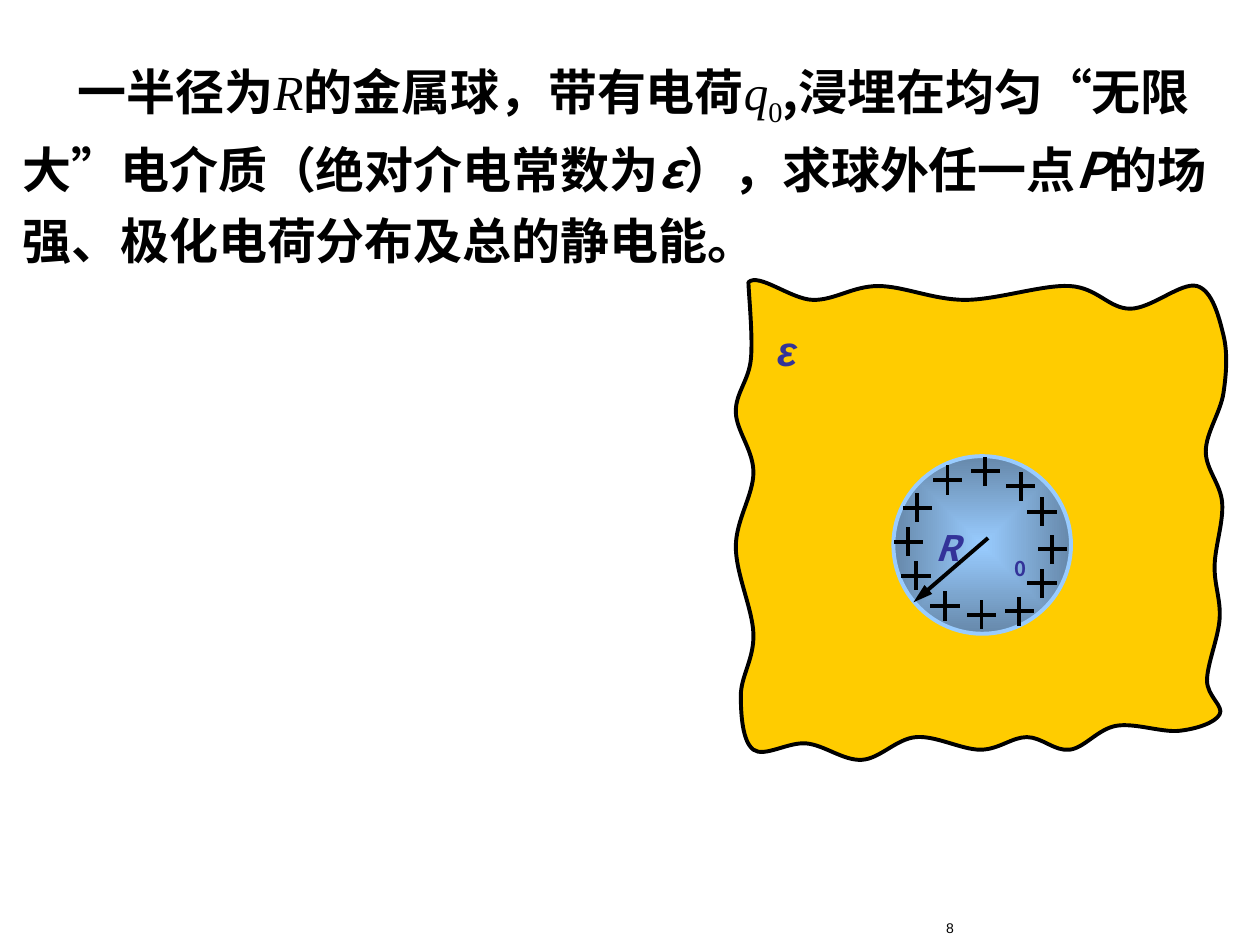
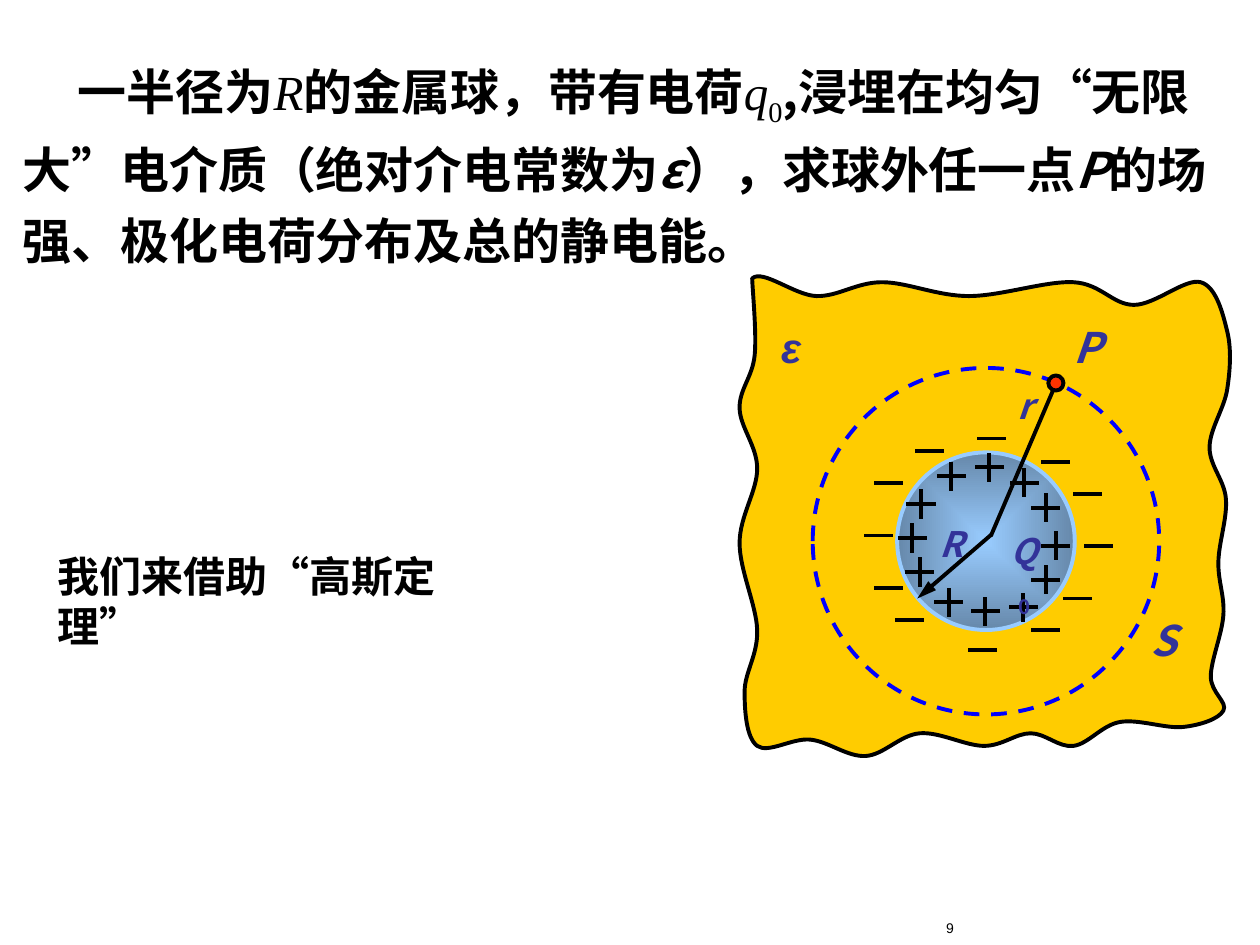
"""Two slides on a charged metal sphere in a dielectric, before and after adding the Gauss surface."""
import lxml.etree
import pptx
import pptx.dml.color
import pptx.enum.dml
import pptx.enum.shapes
import pptx.enum.text
import pptx.oxml.ns
import pptx.util

Inches = pptx.util.Inches
Pt = pptx.util.Pt
qn = pptx.oxml.ns.qn
OVAL = pptx.enum.shapes.MSO_SHAPE.OVAL
STRAIGHT = pptx.enum.shapes.MSO_CONNECTOR.STRAIGHT
ALIGN = pptx.enum.text.PP_ALIGN
FIT = pptx.enum.text.MSO_AUTO_SIZE

SANS, SERIF, ARIAL = "Noto Sans CJK SC", "Times New Roman", "Arial"
BLACK, INDIGO, AMBER = "000000", "333399", "FFCC00"
SKY, STEEL, BLUE, RED = "99CCFF", "6688AA", "0000FF", "FF3300"
LINE_WIDTH = Pt(2.25)
ARM = 0.1


def rgb(value):
    return pptx.dml.color.RGBColor.from_string(value)


def write(slide, box, runs, size, color=INDIGO, align=ALIGN.CENTER, wrap=True,
          fit=FIT.SHAPE_TO_FIT_TEXT):
    frame = slide.shapes.add_textbox(*[Inches(v) for v in box]).text_frame
    frame.word_wrap = wrap
    frame.auto_size = fit
    paragraph = frame.paragraphs[0]
    paragraph.alignment = align
    for text, face, bold, italic, baseline in runs:
        run = paragraph.add_run()
        run.text = text
        font = run.font
        font.size, font.bold, font.italic = Pt(size), bold, italic
        font.color.rgb = rgb(color)
        font.name = face
        properties = run._r.get_or_add_rPr()
        lxml.etree.SubElement(properties, qn("a:ea"), typeface=face)
        if baseline:
            properties.set("baseline", str(baseline * 1000))
    return paragraph


problem = [
    ("一半径为", SANS, True, False, 0),
    ("R", SERIF, False, True, 0),
    ("的金属球，带有电荷", SANS, True, False, 0),
    ("q", SERIF, False, True, 0),
    ("0", SERIF, False, False, -25),
    (",浸埋在均匀“无限大”电介质（绝对介电常数为", SANS, True, False, 0),
    ("ε", SANS, True, True, 0),
    ("），求球外任一点", SANS, True, False, 0),
    ("P", SANS, True, True, 0),
    ("的场强、极化电荷分布及总的静电能。", SANS, True, False, 0),
]
charge_zero = ("0", SANS, True, False, -25)
charge_q = ("Q", SANS, True, True, 0)

rim = [
    (5.94, 2.24), (6.45, 2.38), (6.97, 2.27), (7.66, 2.38), (8.49, 2.27),
    (8.97, 2.45), (9.5, 2.27), (9.71, 2.66), (9.71, 3.12), (9.57, 3.58),
    (9.7, 3.99), (9.64, 4.49), (9.68, 4.91), (9.58, 5.4), (9.68, 5.67),
    (9.36, 5.8), (8.86, 5.76), (8.49, 5.95), (8.15, 5.85), (7.78, 5.95),
    (7.27, 5.85), (6.84, 6.03), (6.4, 5.9), (5.98, 5.95), (5.88, 5.52),
    (5.98, 5.03), (5.84, 4.34), (5.98, 3.75), (5.84, 3.27), (5.96, 2.85),
]

positive_charges = [
    (7.82, 3.74), (8.1, 3.86), (8.27, 4.06), (8.35, 4.36), (8.27, 4.63), (8.09, 4.85),
    (7.79, 4.88), (7.5, 4.81), (7.27, 4.57), (7.21, 4.3), (7.28, 4.03), (7.52, 3.81),
]
negative_charges = [
    (7.87, 3.48), (8.38, 3.67), (8.63, 3.92), (8.72, 4.33), (8.55, 4.75), (8.3, 5),
    (7.8, 5.16), (7.22, 4.92), (7.05, 4.67), (6.97, 4.25), (7.05, 3.83), (7.38, 3.58),
]

deck = pptx.Presentation()
deck.slide_width, deck.slide_height = Inches(10), Inches(7.5)

for number, shift, gauss in [(8, 0, False), (9, 0.03, True)]:
    slide = deck.slides.add_slide(deck.slide_layouts[6])
    write(slide, (6.75, 7.25, 0.92, 0.25), [(str(number), ARIAL, False, False, 0)],
          8, BLACK, ALIGN.RIGHT, fit=FIT.NONE)
    statement = write(slide, (0.08, 0.33, 9.67, 1.86), problem, 28, BLACK, ALIGN.LEFT)
    statement.line_spacing = 1.2
    statement._p.get_or_add_pPr().set("indent", str(Inches(0.44)))

    points = [(Inches(x + shift), Inches(y - shift)) for x, y in rim]
    builder = slide.shapes.build_freeform(*points[0])
    builder.add_line_segments(points[1:] + points[:1], close=True)
    dielectric = builder.convert_to_shape()
    dielectric.shadow.inherit = False
    dielectric.fill.solid()
    dielectric.fill.fore_color.rgb = rgb(AMBER)
    dielectric.line.color.rgb = rgb(BLACK)
    dielectric.line.width = LINE_WIDTH
    guide = points[-1:] + points + points[:1] * 2
    sides = list(dielectric._element.iter(qn("a:lnTo")))
    for side, before, start, end, after in zip(sides, guide, guide[1:], guide[2:], guide[3:]):
        leaving = [b + (c - a) / 6 for a, b, c in zip(before, start, end)]
        arriving = [b - (c - a) / 6 for a, b, c in zip(start, end, after)]
        curve = lxml.etree.Element(qn("a:cubicBezTo"))
        for x, y in (leaving, arriving, end):
            lxml.etree.SubElement(curve, qn("a:pt"), x=str(round(x - dielectric.left)),
                                  y=str(round(y - dielectric.top)))
        side.getparent().replace(side, curve)

    if gauss:
        surface = slide.shapes.add_shape(OVAL, Inches(6.45), Inches(2.92), Inches(2.75), Inches(2.75))
        surface.shadow.inherit = False
        surface.fill.background()
        surface.line.color.rgb = rgb(BLUE)
        surface.line.width = LINE_WIDTH
        surface.line.dash_style = pptx.enum.dml.MSO_LINE.DASH

    sphere = slide.shapes.add_shape(OVAL, Inches(7.09 + shift), Inches(3.62 - shift),
                                    Inches(1.41), Inches(1.41))
    sphere.shadow.inherit = False
    sphere.line.color.rgb = rgb(SKY)
    sphere.line.width = LINE_WIDTH
    sphere.fill.gradient()
    for stop, shade in zip(sphere.fill.gradient_stops, (SKY, STEEL)):
        stop.color.rgb = rgb(shade)
    gradient = sphere._element.spPr.find(qn("a:gradFill"))
    linear = gradient.find(qn("a:lin"))
    radial = lxml.etree.Element(qn("a:path"), {"path": "rect"})
    lxml.etree.SubElement(radial, qn("a:fillToRect"), dict.fromkeys("ltrb", "50000"))
    gradient.replace(linear, radial)

    strokes = []
    for x, y in positive_charges:
        x, y = x + shift, y - shift
        strokes += [(x - ARM, y, x + ARM, y, False), (x, y - ARM, x, y + ARM, False)]
    strokes.append((7.83 + shift, 4.28 - shift, 7.25 + shift, 4.78 - shift, True))
    if gauss:
        strokes += [(x - ARM, y, x + ARM, y, False) for x, y in negative_charges]
        strokes.append((7.87, 4.24, 8.37, 3.07, False))
    for *ends, arrow in strokes:
        stroke = slide.shapes.add_connector(STRAIGHT, *[Inches(v) for v in ends])
        stroke.line.color.rgb = rgb(BLACK)
        stroke.line.width = LINE_WIDTH
        outline = stroke._element.spPr.find(qn("a:ln"))
        outline.set("cap", "sq")
        if arrow:
            lxml.etree.SubElement(outline, qn("a:tailEnd"), type="triangle", len="lg")
        lxml.etree.SubElement(stroke._element.spPr, qn("a:effectLst"))

    labels = [
        (7.33 + shift, 4.13 - shift, "R", SANS, 20, 0.44),
        (6.07 + shift, 2.53 - shift, "ε", ARIAL, 24, 0.5),
    ]
    if gauss:
        labels += [
            (7.96, 3, "r", SANS, 20, 0.44),
            (8.42, 2.5, "P", SANS, 24, 0.5),
            (9.03, 4.83, "S", SANS, 24, 0.5),
        ]
    for x, y, symbol, face, size, height in labels:
        write(slide, (x, y, 0.35, height), [(symbol, face, True, True, 0)], size)
    write(slide, (7.85 + shift, 4.18 - shift, 0.5, 0.48),
          [charge_q, charge_zero] if gauss else [charge_zero], 20)

    if gauss:
        field_point = slide.shapes.add_shape(OVAL, Inches(8.32), Inches(2.98), Inches(0.12), Inches(0.12))
        field_point.shadow.inherit = False
        field_point.fill.solid()
        field_point.fill.fore_color.rgb = rgb(RED)
        field_point.line.color.rgb = rgb(BLACK)
        field_point.line.width = LINE_WIDTH
        write(slide, (0.36, 4.32, 3.86, 0.5), [("我们来借助“高斯定理”", SANS, True, False, 0)],
              24, BLACK, ALIGN.LEFT, wrap=False)

deck.save("out.pptx")
